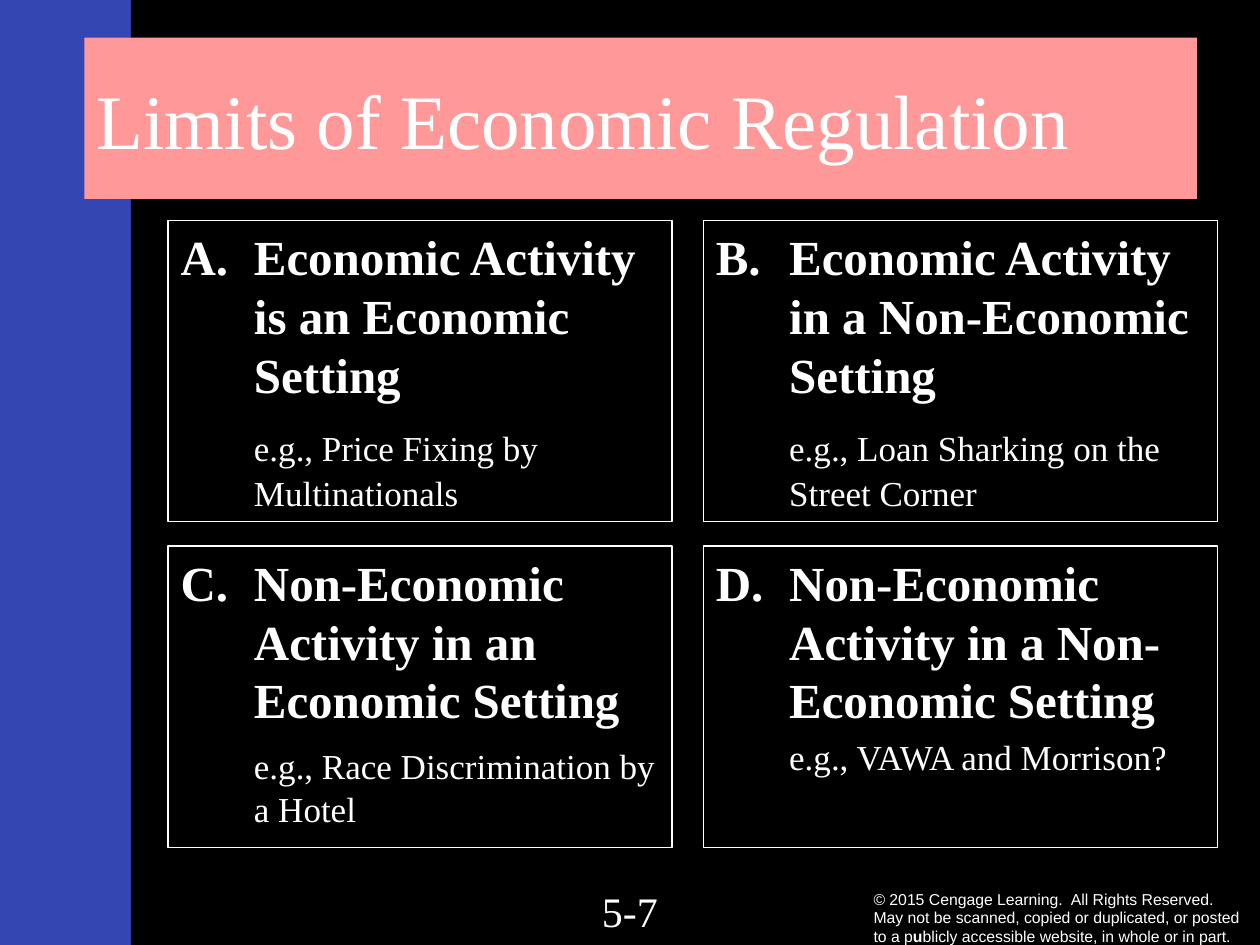
from pptx import Presentation
from pptx.dml.color import RGBColor
from pptx.enum.shapes import MSO_SHAPE as SHAPE
from pptx.enum.text import MSO_ANCHOR as ANCHOR, PP_ALIGN as ALIGN
from pptx.oxml.ns import qn
from pptx.util import Cm, Pt
from lxml.etree import SubElement

BLUE = RGBColor(0x33, 0x46, 0xB1)
BLACK = RGBColor(0x00, 0x00, 0x00)
PINK = RGBColor(0xFF, 0x99, 0x99)
WHITE = RGBColor(0xFF, 0xFF, 0xFF)
SERIF, SANS = "Times New Roman", "Arial"


class SlideBuilder:
    def __init__(self, prs):
        self.s = prs.slides.add_slide(prs.slide_layouts[6])
        fill = self.s.background.fill
        fill.solid()
        fill.fore_color.rgb = BLUE

    def style(self, r, size, font=SERIF, bold=False):
        r.font.size, r.font.name, r.font.bold = Pt(size), font, bold
        r.font.color.rgb = WHITE

    def rect(self, x, y, w, h, fill=None, outlined=False):
        sp = self.s.shapes.add_shape(SHAPE.RECTANGLE, Cm(x), Cm(y), Cm(w), Cm(h))
        sp.shadow.inherit = False
        if fill is None:
            sp.fill.background()
        else:
            sp.fill.solid()
            sp.fill.fore_color.rgb = fill
        if outlined:
            sp.line.color.rgb = WHITE
            sp.line.width = Pt(0.75)
        else:
            sp.line.fill.background()
        return sp

    def title(self, text, x, y, w, h):
        tf = self.rect(x, y, w, h, PINK).text_frame
        tf.text = text
        tf.vertical_anchor = ANCHOR.MIDDLE
        tf.paragraphs[0].alignment = ALIGN.LEFT
        self.style(tf.paragraphs[0].runs[0], 44)

    def text(self, parts, x, y, w, h, size, font=SERIF, align=ALIGN.LEFT, anchor=ANCHOR.TOP):
        """Text box with one paragraph made of (text, bold) parts."""
        tf = self.s.shapes.add_textbox(Cm(x), Cm(y), Cm(w), Cm(h)).text_frame
        tf.word_wrap = True
        tf.vertical_anchor = anchor
        p = tf.paragraphs[0]
        p.alignment = align
        for part, bold in parts:
            r = p.add_run()
            r.text = part
            self.style(r, size, font, bold)

    def card(self, number, heading, example, tab_size, x, y, w, h):
        """Outlined box: lettered heading, then an example tabbed to the indent."""
        tf = self.rect(x, y, w, h, outlined=True).text_frame
        tf.vertical_anchor = ANCHOR.TOP
        tf.text = heading
        head, p = tf.paragraphs[0], tf.add_paragraph()
        for para in (head, p):
            para.alignment = ALIGN.LEFT
            pPr = para._p.get_or_add_pPr()
            pPr.set("marL", str(Cm(1.48)))
            pPr.set("indent", str(-Cm(1.48)))
        p.space_before = Pt(0.2 * tab_size)
        bullet = SubElement(head._p.get_or_add_pPr(), qn("a:buAutoNum"))
        bullet.set("type", "alphaUcPeriod")
        bullet.set("startAt", str(number))
        SubElement(p._p.get_or_add_pPr(), qn("a:buNone"))
        self.style(head.runs[0], 28, bold=True)
        for text, size in (("\t", tab_size), (example, 20)):
            r = p.add_run()
            r.text = text
            self.style(r, size)


def main():
    prs = Presentation()
    prs.slide_width, prs.slide_height = Cm(25.4), Cm(19.05)
    b = SlideBuilder(prs)

    # Black panel beside the blue band
    b.rect(2.64, 0, 22.76, 19.05, BLACK)

    # Copyright line and page number
    b.text([("© 2015 Cengage Learning.  All Rights Reserved.  May not be scanned, "
             "copied or duplicated, or posted to a p", False),
            ("u", True),
            ("blicly accessible website, in whole or in part.", False)],
           17.36, 17.79, 8.04, 1.42, 9, SANS, anchor=ANCHOR.MIDDLE)
    b.text([("5-7", False)], 9.74, 17.73, 5.92, 1.32, 24, align=ALIGN.CENTER)

    # Title
    b.title("Limits of Economic Regulation", 1.7, 0.76, 22.43, 3.25)

    # Two by two grid of cards
    columns = [(3.39, 10.16), (14.18, 10.37)]
    rows = [4.44, 11.01]
    cards = [
        ("Economic Activity is an Economic Setting",
         "e.g., Price Fixing by Multinationals", 28),
        ("Economic Activity in a Non-Economic Setting",
         "e.g., Loan Sharking on the Street Corner", 28),
        ("Non-Economic Activity in an Economic Setting",
         "e.g., Race Discrimination by a Hotel", 24),
        ("Non-Economic Activity in a Non-Economic Setting",
         "e.g., VAWA and Morrison?", 20),
    ]
    for i, (heading, example, tab_size) in enumerate(cards):
        x, w = columns[i % 2]
        b.card(i + 1, heading, example, tab_size, x, rows[i // 2], w, 6.07)

    prs.save("out.pptx")


if __name__ == "__main__":
    main()
